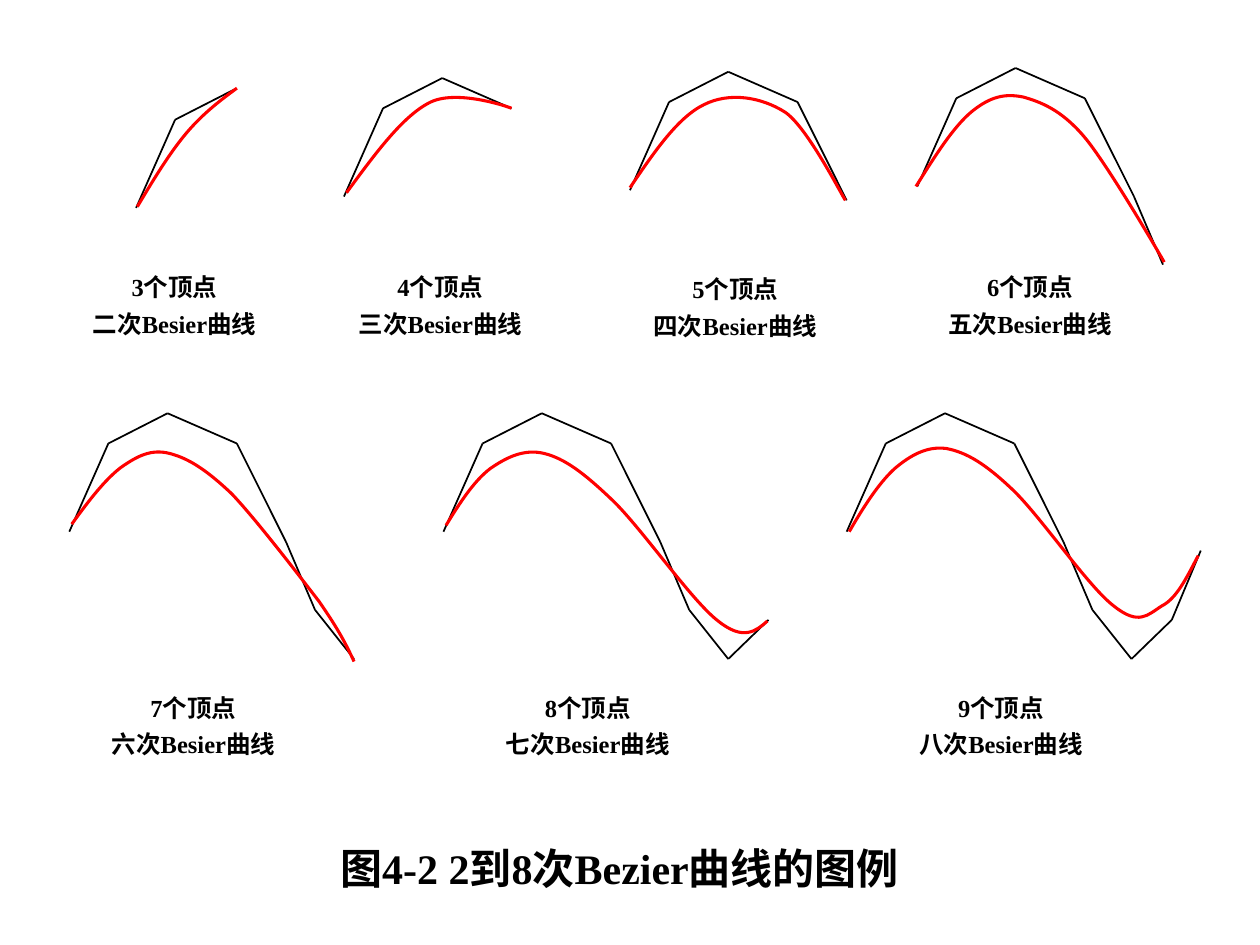
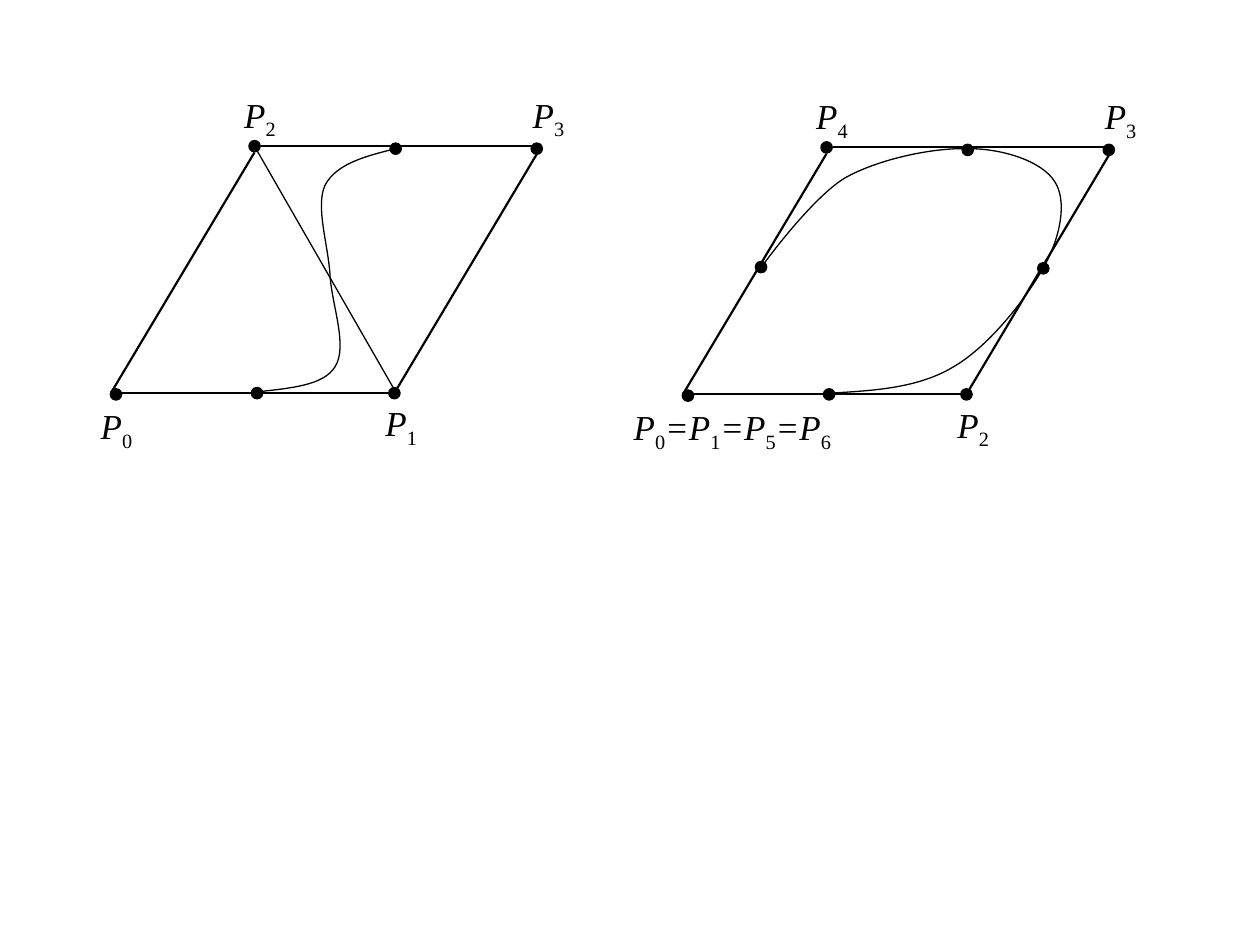
from itertools import groupby, pairwise

from lxml.etree import SubElement
from pptx import Presentation
from pptx.dml.color import RGBColor
from pptx.enum.shapes import MSO_CONNECTOR, MSO_SHAPE
from pptx.enum.text import MSO_ANCHOR, MSO_AUTO_SIZE, PP_ALIGN
from pptx.oxml.ns import qn
from pptx.util import Inches, Pt

FONT = "Times New Roman"
BLACK = "000000"
RED = "FF0000"
TITLE_ONLY, BLANK = 5, 6

FIGURE_TITLE = "图4-2 2到8次Bezier曲线的图例"
DEGREES = "二三四五六七八"
CAPTION_SIZE = (1.59, 0.69)

POLYGON = [(0, 0), (0.31, -0.7), (0.78, -0.94), (1.33, -0.7), (1.72, 0.08),
           (1.95, 0.62), (2.26, 1.01), (2.58, 0.7), (2.81, 0.15)]

EXAMPLES = [
    {"start": (1.08, 1.65), "caption": (0.59, 2.05),
     "curve": [(1.09, 1.64), (1.21, 1.44), (1.33, 1.24), (1.46, 1.08),
               (1.59, 0.92), (1.73, 0.81), (1.88, 0.7)]},
    {"start": (2.73, 1.56), "caption": (2.7, 2.05),
     "curve": [(2.75, 1.53), (2.97, 1.23), (3.19, 0.93), (3.4, 0.82),
               (3.61, 0.7), (4.04, 0.85), (4.06, 0.86)]},
    {"start": (5, 1.51), "caption": (5.04, 2.07),
     "curve": [(5, 1.49), (5.19, 1.21), (5.38, 0.93), (5.59, 0.83),
               (5.79, 0.73), (6.04, 0.77), (6.23, 0.89),
               (6.41, 1.01), (6.69, 1.57), (6.71, 1.59)]},
    {"start": (7.28, 1.48), "caption": (7.38, 2.05),
     "curve": [(7.27, 1.48), (7.42, 1.24), (7.57, 1), (7.72, 0.88),
               (7.86, 0.77), (7.97, 0.74), (8.12, 0.77),
               (8.26, 0.81), (8.42, 0.87), (8.6, 1.08),
               (8.79, 1.3), (9.24, 2.08), (9.24, 2.08)]},
    {"start": (0.55, 4.22), "caption": (0.74, 5.39),
     "curve": [(0.57, 4.16), (0.7, 3.98), (0.83, 3.81), (0.96, 3.71),
               (1.09, 3.62), (1.2, 3.56), (1.35, 3.6),
               (1.5, 3.64), (1.64, 3.73), (1.84, 3.92),
               (2.03, 4.12), (2.36, 4.55), (2.53, 4.77),
               (2.69, 5), (2.75, 5.12), (2.81, 5.25)]},
    {"start": (3.52, 4.22), "caption": (3.87, 5.39),
     "curve": [(3.54, 4.17), (3.65, 3.99), (3.76, 3.82), (3.89, 3.72),
               (4.02, 3.63), (4.16, 3.56), (4.32, 3.6),
               (4.48, 3.64), (4.63, 3.75), (4.86, 3.97),
               (5.09, 4.19), (5.49, 4.77), (5.7, 4.93),
               (5.9, 5.09), (6, 5.01), (6.09, 4.93)]},
    {"start": (6.72, 4.22), "caption": (7.15, 5.39),
     "curve": [(6.74, 4.22), (6.85, 4.03), (6.97, 3.84), (7.1, 3.72),
               (7.23, 3.61), (7.36, 3.54), (7.51, 3.56),
               (7.67, 3.59), (7.82, 3.68), (8.04, 3.89),
               (8.26, 4.1), (8.64, 4.66), (8.84, 4.81),
               (9.04, 4.97), (9.11, 4.88), (9.22, 4.81),
               (9.34, 4.75), (9.42, 4.58), (9.51, 4.41)]},
]

DOT = 0.09
RHOMBUS_EDGES = [((2.07, 1.16), (4.26, 1.16)), ((0.88, 3.12), (2.02, 1.21)),
                 ((3.13, 3.12), (4.28, 1.19)), ((0.92, 3.12), (3.11, 3.12))]
RHOMBUS_DOTS = [(2.02, 1.16), (3.13, 3.12), (0.92, 3.13),
                (3.14, 1.18), (4.26, 1.18), (2.04, 3.12)]

RHOMBUSES = [
    {"shift": (0, 0), "diagonals": [((2.02, 1.16), (3.14, 3.11))], "side_dots": [],
     "labels": [("P2", 1.84, 0.69, 0.7, 0.48), ("P3", 4.13, 0.69, 0.7, 0.48),
                ("P0", 0.7, 3.16, 0.55, 0.48), ("P1", 2.96, 3.14, 0.62, 0.48)],
     "curve": [(2.05, 3.11), (2.31, 3.08), (2.57, 3.06), (2.66, 2.91),
               (2.76, 2.75), (2.64, 2.44), (2.62, 2.2),
               (2.61, 1.96), (2.5, 1.64), (2.58, 1.47),
               (2.67, 1.3), (2.9, 1.24), (3.14, 1.18)]},
    {"shift": (4.54, 0.01), "diagonals": [], "side_dots": [(1.5, 2.11), (3.74, 2.12)],
     "labels": [("P4", 1.84, 0.69, 0.7, 0.48), ("P3", 4.13, 0.69, 0.7, 0.48),
                ("P0=P1=P5=P6", 0.39, 3.16, 2.02, 0.86), ("P2", 2.96, 3.14, 0.63, 0.48)],
     "curve": [(2.05, 3.11), (2.4, 3.09), (2.75, 3.07), (3.03, 2.9),
               (3.32, 2.73), (3.61, 2.35), (3.75, 2.1),
               (3.88, 1.86), (3.93, 1.58), (3.83, 1.43),
               (3.73, 1.27), (3.42, 1.17), (3.15, 1.17),
               (2.87, 1.16), (2.44, 1.25), (2.17, 1.4),
               (1.9, 1.56), (1.51, 2.1), (1.51, 2.1)]},
]


def color(value):
    return RGBColor.from_string(value)


def shifted(points, shift):
    return [(x + shift[0], y + shift[1]) for x, y in points]


def style_line(shape, line_color, width):
    shape.line.color.rgb = color(line_color)
    shape.line.width = Pt(width)


def style_paragraph(paragraph, size, bold=False):
    font = paragraph.font
    font.name, font.size, font.bold = FONT, Pt(size), bold
    font.color.rgb = color(BLACK)


def add_line(shapes, start, end, width):
    ends = [Inches(value) for value in (*start, *end)]
    connector = shapes.add_connector(MSO_CONNECTOR.STRAIGHT, *ends)
    style_line(connector, BLACK, width)
    SubElement(connector._element.spPr, qn("a:effectLst"))


def add_curve(shapes, points, line_color, width):
    start, *controls = [(Inches(x), Inches(y)) for x, y in points]
    builder = shapes.build_freeform(*start)
    builder.add_line_segments(controls, close=False)
    curve = builder.convert_to_shape()
    outline = next(curve._element.iter(qn("a:path")))
    segments = outline.findall(qn("a:lnTo"))
    for first in range(0, len(segments), 3):
        bezier = SubElement(outline, qn("a:cubicBezTo"))
        for segment in segments[first:first + 3]:
            bezier.append(segment[0])
            outline.remove(segment)
    curve.fill.background()
    curve.shadow.inherit = False
    style_line(curve, line_color, width)


def add_dot(shapes, center):
    left, top = (Inches(value - DOT / 2) for value in center)
    dot = shapes.add_shape(MSO_SHAPE.OVAL, left, top, Inches(DOT), Inches(DOT))
    dot.fill.solid()
    dot.fill.fore_color.rgb = color(BLACK)
    dot.shadow.inherit = False
    style_line(dot, BLACK, 0.75)


def add_text_frame(shapes, left, top, width, height, wrap):
    box = shapes.add_textbox(*(Inches(value) for value in (left, top, width, height)))
    frame = box.text_frame
    frame.word_wrap = wrap
    frame.auto_size = MSO_AUTO_SIZE.SHAPE_TO_FIT_TEXT
    return frame


def add_point_label(shapes, text, left, top, width, height):
    paragraph = add_text_frame(shapes, left, top, width, height, True).paragraphs[0]
    style_paragraph(paragraph, 20)
    for is_index, characters in groupby(text, str.isdigit):
        run = paragraph.add_run()
        run.text = "".join(characters)
        run.font.italic = not is_index
        if is_index:
            run.font._element.set("baseline", "-25000")


def add_title(slide):
    title = slide.shapes.title
    title.left, title.top = Inches(2.6), Inches(6.64)
    title.width, title.height = Inches(5.11), Inches(0.5)
    frame = title.text_frame
    frame.text = FIGURE_TITLE
    frame.word_wrap = False
    frame.auto_size = MSO_AUTO_SIZE.SHAPE_TO_FIT_TEXT
    frame.vertical_anchor = MSO_ANCHOR.TOP
    frame.paragraphs[0].alignment = PP_ALIGN.LEFT
    style_paragraph(frame.paragraphs[0], 24, True)


def build_examples(slide):
    add_title(slide)
    for index, example in enumerate(EXAMPLES):
        vertices = index + 3
        shapes = slide.shapes.add_group_shape().shapes
        for start, end in pairwise(shifted(POLYGON[:vertices], example["start"])):
            add_line(shapes, start, end, 1)
        add_curve(shapes, example["curve"], RED, 1.75)
        frame = add_text_frame(slide.shapes, *example["caption"], *CAPTION_SIZE, False)
        frame.text = f"{vertices}个顶点\n{DEGREES[index]}次Besier曲线"
        for paragraph in frame.paragraphs:
            paragraph.alignment = PP_ALIGN.CENTER
            paragraph.line_spacing = 1.25
            style_paragraph(paragraph, 14, True)


def build_rhombuses(slide):
    for rhombus in RHOMBUSES:
        shift = rhombus["shift"]
        shapes = slide.shapes.add_group_shape().shapes
        for edge in RHOMBUS_EDGES:
            add_line(shapes, *shifted(edge, shift), 1.25)
        for diagonal in rhombus["diagonals"]:
            add_line(shapes, *shifted(diagonal, shift), 0.75)
        for center in shifted(RHOMBUS_DOTS + rhombus["side_dots"], shift):
            add_dot(shapes, center)
        for text, left, top, width, height in rhombus["labels"]:
            add_point_label(shapes, text, left + shift[0], top + shift[1], width, height)
        add_curve(shapes, shifted(rhombus["curve"], shift), BLACK, 0.75)


def main():
    presentation = Presentation()
    presentation.slide_width, presentation.slide_height = Inches(10), Inches(7.5)
    for layout, build in ((TITLE_ONLY, build_examples), (BLANK, build_rhombuses)):
        build(presentation.slides.add_slide(presentation.slide_layouts[layout]))
    presentation.save("out.pptx")


if __name__ == "__main__":
    main()
